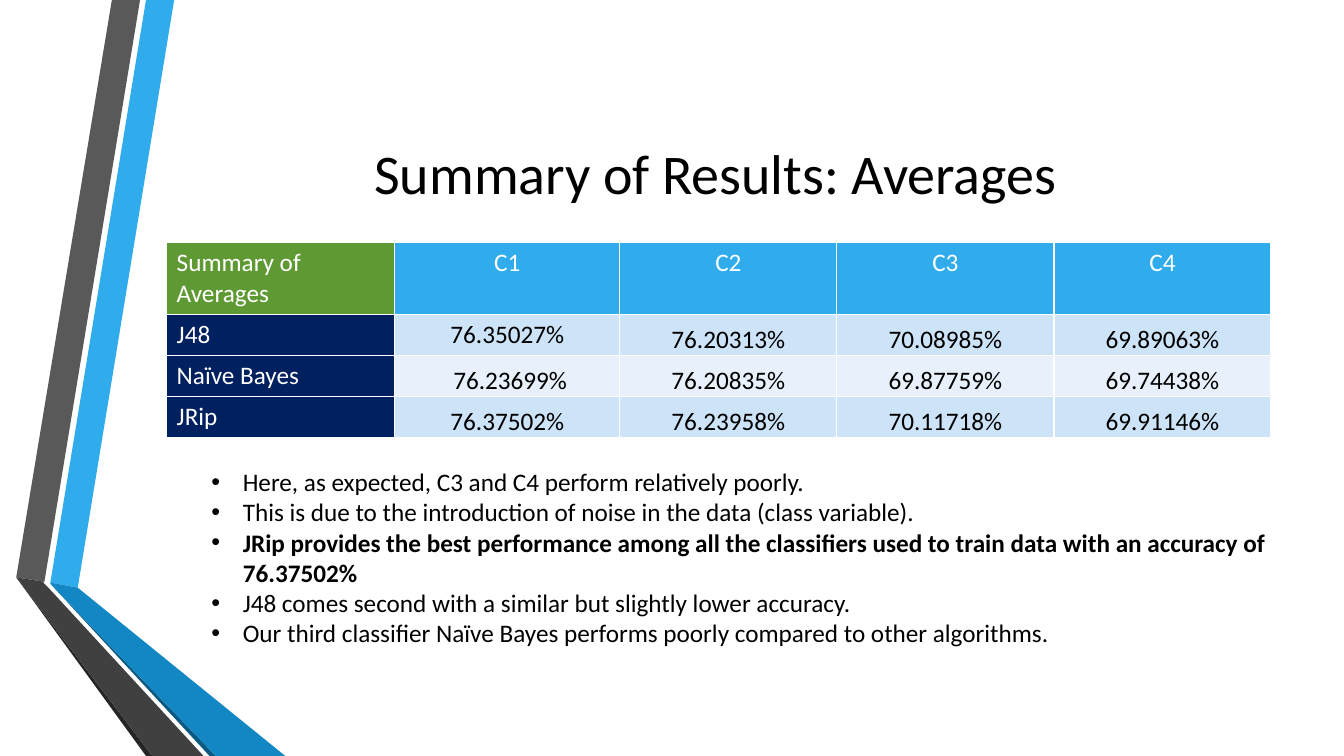
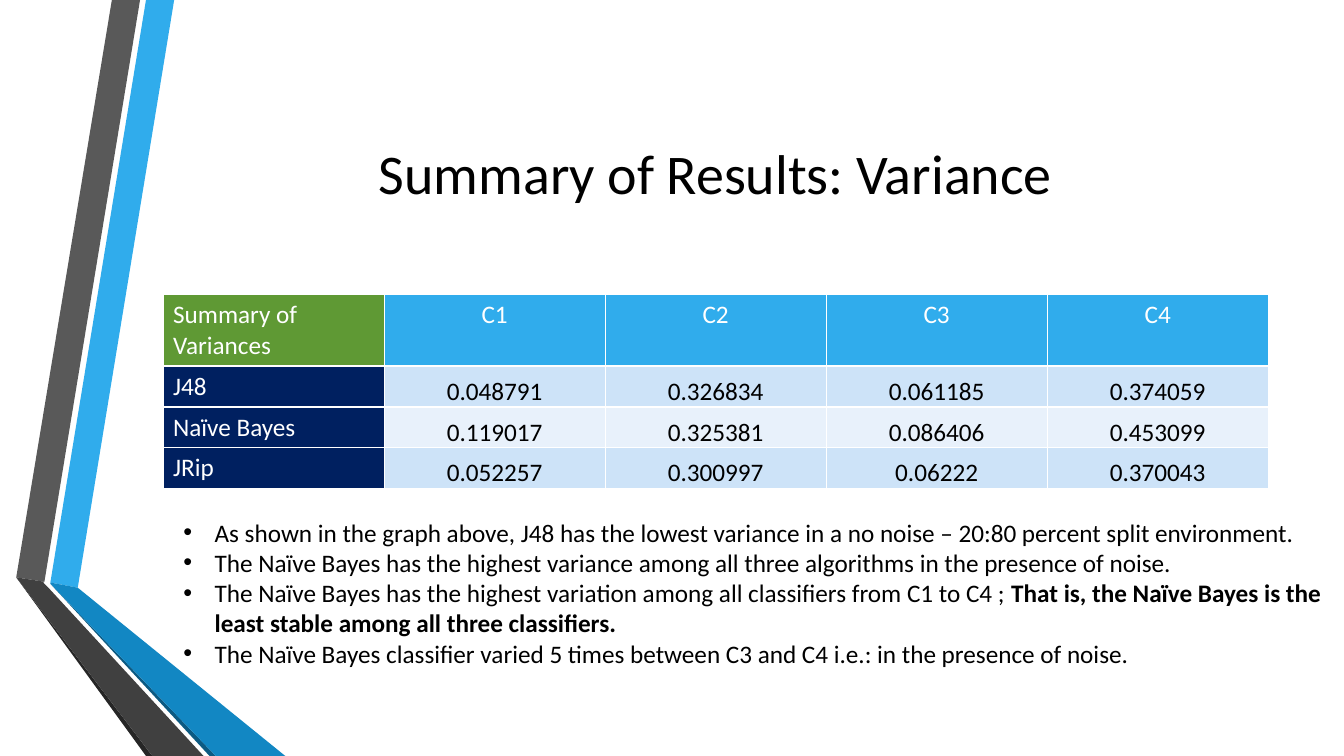
import pptx
import pptx.dml.color
import pptx.enum.text
import pptx.oxml.ns
import pptx.util
from lxml import etree

Cm = pptx.util.Cm
Align = pptx.enum.text.PP_ALIGN
Anchor = pptx.enum.text.MSO_ANCHOR

SLIDE_HEIGHT = 19.05
RIBBONS = [
    ("30ACEC", [(1.27, 14.68), (1.96, 14.81), (4.39, 0), (3.68, 0)]),
    ("595959", [(3.53, 0), (2.82, 0), (0.41, 14.55), (1.12, 14.66)]),
    ("262626", [(0.41, 14.55), (3.68, SLIDE_HEIGHT), (3.84, SLIDE_HEIGHT)]),
    ("0C5A82", [(1.27, 14.71), (5.28, SLIDE_HEIGHT), (5.44, SLIDE_HEIGHT)]),
    ("1287C3", [(1.27, 14.71), (5.44, SLIDE_HEIGHT), (7.19, SLIDE_HEIGHT),
                (1.96, 14.81), (1.27, 14.68)]),
    ("404040", [(5.13, SLIDE_HEIGHT), (1.22, 14.81), (1.09, 14.68), (1.12, 14.66),
                (0.41, 14.55), (3.84, SLIDE_HEIGHT)]),
]


def color(hex_text):
    return pptx.dml.color.RGBColor.from_string(hex_text)


def write(para, text, size=18, ink="000000", bold=False, align=Align.LEFT):
    """Add one formatted span to a paragraph."""
    para.alignment = align
    span = para.add_run()
    span.text = text
    span.font.name = "Calibri"
    span.font.size = pptx.util.Pt(size)
    span.font.bold = bold
    span.font.color.rgb = color(ink)


def add_bullet(para, indent):
    properties = para._p.get_or_add_pPr()
    properties.set("marL", str(indent))
    properties.set("indent", str(-indent))
    for tag, name, value in (("a:buFont", "typeface", "Arial"), ("a:buChar", "char", "•")):
        etree.SubElement(properties, pptx.oxml.ns.qn(tag)).set(name, value)


class ResultDeck:
    white = "FFFFFF"
    corner_fill = "5F9934"
    header_fill = "30ACEC"
    label_fill = "002060"
    band_fills = ("CDE3F8", "E8F1FB")

    def __init__(self):
        self.deck = pptx.Presentation()
        self.deck.slide_width = Cm(33.87)
        self.deck.slide_height = Cm(SLIDE_HEIGHT)
        self.layout = self.deck.slide_layouts.get_by_name("Title Only")
        self.page = None

    def add_page(self, title):
        first = self.page is None
        self.page = self.deck.slides.add_slide(self.layout)
        if first:
            self.add_ribbons()
        box = self.page.shapes.title
        box.left, box.top, box.width, box.height = Cm(4.11), Cm(1.9), Cm(27.84), Cm(4.88)
        box.text_frame.vertical_anchor = Anchor.MIDDLE
        write(box.text_frame.paragraphs[0], title, size=40, align=Align.CENTER)

    def add_ribbons(self):
        """Draw the ribbons and move them to the layout that all pages share."""
        for fill, points in RIBBONS:
            start, *corners = [(Cm(x), Cm(y)) for x, y in points]
            outline = self.page.shapes.build_freeform(*start)
            outline.add_line_segments(corners, close=True)
            ribbon = outline.convert_to_shape()
            ribbon.shadow.inherit = False
            ribbon.fill.solid()
            ribbon.fill.fore_color.rgb = color(fill)
            ribbon.line.fill.background()
            self.layout.shapes.element.append(ribbon.element)

    def fill_cell(self, cell, text, fill, **style):
        cell.fill.solid()
        cell.fill.fore_color.rgb = color(fill)
        frame = cell.text_frame
        for index, line in enumerate(text.split("\n")):
            para = frame.add_paragraph() if index else frame.paragraphs[0]
            write(para, line, **style)

    def add_results(self, rows, left, top, widths, raised=()):
        """Values sit at the bottom of their cells, except at the raised positions."""
        frame = self.page.shapes.add_table(
            len(rows), len(widths), Cm(left), Cm(top), Cm(sum(widths)), Cm(4.89))
        table = frame.table
        for column, width in zip(table.columns, widths):
            column.width = Cm(width)
        for row_index, values in enumerate(rows):
            table.rows[row_index].height = Cm(1.03 if row_index else 1.8)
            for column_index, text in enumerate(values):
                cell = table.cell(row_index, column_index)
                align = Align.CENTER if column_index else Align.LEFT
                if row_index == 0:
                    fill = self.header_fill if column_index else self.corner_fill
                    self.fill_cell(cell, text, fill, ink=self.white, align=align)
                elif column_index == 0:
                    self.fill_cell(cell, text, self.label_fill, ink=self.white)
                else:
                    band = self.band_fills[(row_index - 1) % 2]
                    self.fill_cell(cell, text, band, align=align)
                    if (row_index, column_index) not in raised:
                        cell.vertical_anchor = Anchor.BOTTOM
                        cell.margin_left = cell.margin_right = cell.margin_top = Cm(0.03)
                        cell.margin_bottom = 0

    def add_bullets(self, items, left, top, width):
        """Each item is a list of (text, bold) spans."""
        box = self.page.shapes.add_textbox(Cm(left), Cm(top), Cm(width), Cm(4.88))
        frame = box.text_frame
        frame.word_wrap = True
        for index, spans in enumerate(items):
            para = frame.add_paragraph() if index else frame.paragraphs[0]
            add_bullet(para, Cm(0.79))
            for text, bold in spans:
                write(para, text, bold=bold)


def main():
    show = ResultDeck()

    show.add_page("Summary of Results: Averages")
    show.add_results([
        ("Summary of\nAverages", "C1", "C2", "C3", "C4"),
        ("J48", "76.35027%", "76.20313%", "70.08985%", "69.89063%"),
        ("Naïve Bayes", " 76.23699%", "76.20835%", "69.87759%", "69.74438%"),
        ("JRip", "76.37502%", "76.23958%", "70.11718%", "69.91146%"),
    ], left=4.2, top=6.12, widths=[5.75, 5.67, 5.47, 5.47, 5.47], raised=[(1, 1)])
    show.add_bullets([
        [("Here, as expected, C3 and C4 perform relatively poorly.", False)],
        [("This is due to the introduction of noise in the data (class variable).", False)],
        [("JRip provides the best performance among all the classifiers used to train data "
          "with an accuracy of 76.37502%", True)],
        [("J48 comes second with a similar but slightly lower accuracy.", False)],
        [("Our third classifier Naïve Bayes performs poorly compared to other algorithms.",
          False)],
    ], left=5.08, top=11.63, width=27.41)

    show.add_page("Summary of Results: Variance")
    show.add_results([
        ("Summary of Variances", "C1", "C2", "C3", "C4"),
        ("J48", "0.048791", "0.326834", "0.061185", "0.374059"),
        ("Naïve Bayes", "0.119017", "0.325381", "0.086406", "0.453099"),
        ("JRip", "0.052257", "0.300997", "0.06222", "0.370043"),
    ], left=4.11, top=7.42, widths=[5.57] * 5)
    show.add_bullets([
        [("As shown in the graph above, J48 has the lowest variance in a no noise – 20:80 "
          "percent split environment.", False)],
        [("The Naïve Bayes has the highest variance among all three algorithms in the "
          "presence of noise.", False)],
        [("The Naïve Bayes has the highest variation among all classifiers from C1 to C4 ; ",
          False),
         ("That is, the Naïve Bayes is the least stable among all three classifiers.", True)],
        [("The Naïve Bayes classifier varied 5 times between C3 and C4 i.e.: in the presence "
          "of noise.", False)],
    ], left=4.37, top=12.9, width=29.18)

    show.deck.save("out.pptx")


if __name__ == "__main__":
    main()
